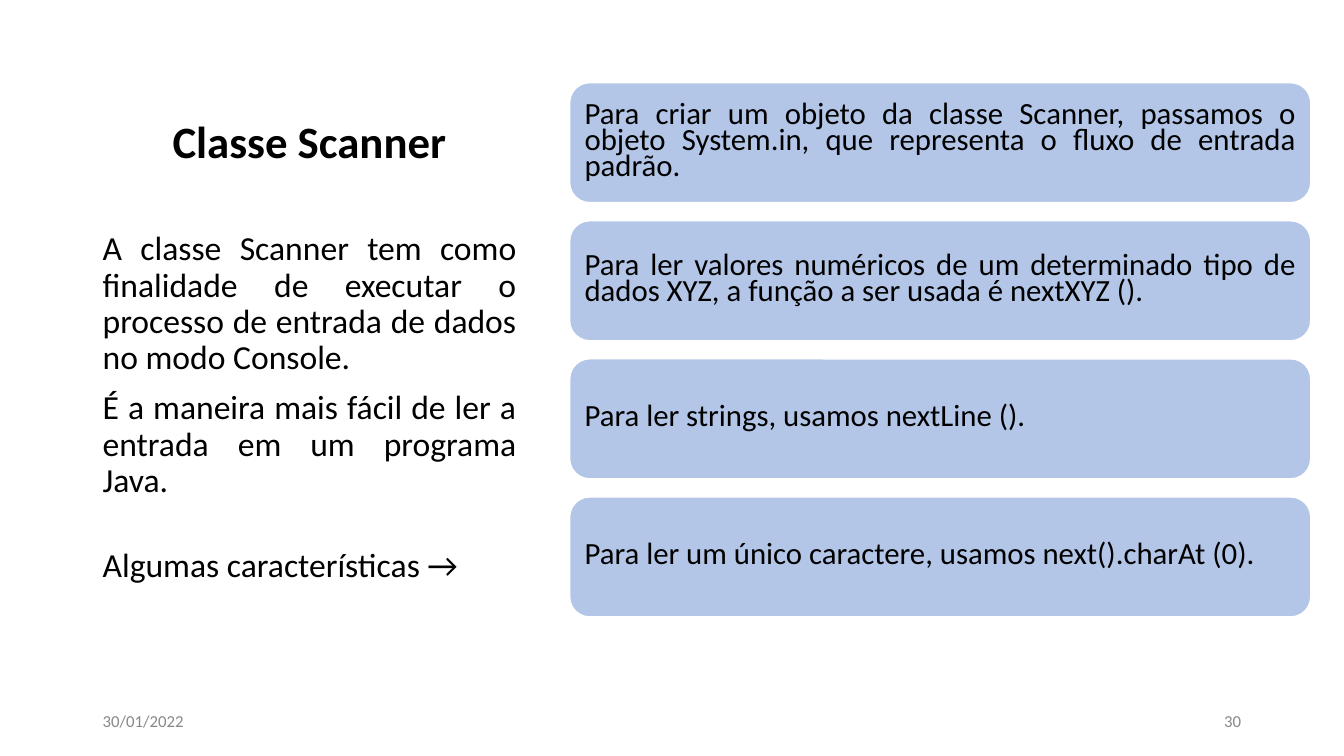
"""Builds the slide about the Scanner class, with its four usage cards."""
from pptx import Presentation
from pptx.dml.color import RGBColor
from pptx.enum.shapes import MSO_SHAPE as Shape
from pptx.enum.text import MSO_ANCHOR as Anchor, MSO_AUTO_SIZE as AutoSize, PP_ALIGN as Align
from pptx.util import Inches, Pt

TITLE = "Classe Scanner"
INTRO = [
    ("A classe Scanner tem como finalidade de executar o processo de entrada de dados no modo Console.", 0),
    ("É a maneira mais fácil de ler a entrada em um programa Java.", 10),
    ("Algumas características →", 35),
]
CARDS = [
    "Para criar um objeto da classe Scanner, passamos o objeto System.in, "
    "que representa o fluxo de entrada padrão.",
    "Para ler valores numéricos de um determinado tipo de dados XYZ, "
    "a função a ser usada é nextXYZ ().",
    "Para ler strings, usamos nextLine ().",
    "Para ler um único caractere, usamos next().charAt (0).",
]
DATE, PAGE = "30/01/2022", "30"

BLACK = RGBColor(0x00, 0x00, 0x00)
GRAY = RGBColor(0x88, 0x88, 0x88)
WHITE = RGBColor(0xFF, 0xFF, 0xFF)
PALE_BLUE = RGBColor(0xB3, 0xC6, 0xE7)

WIDTH, HEIGHT = 13.33, 7.5
MARGIN, INTRO_WIDTH = 0.92, 4.3
CARD_LEFT, CARD_TOP, CARD_WIDTH, CARD_HEIGHT, CARD_GAP = 5.65, 0.82, 7.35, 1.19, 0.18
FOOTER_TOP, FOOTER_WIDTH, FOOTER_HEIGHT = 6.95, 3, 0.4

TITLE_FORMAT = {"size": Pt(32), "bold": True}
INTRO_FORMAT = {"size": Pt(24)}
CARD_FORMAT = {"size": Pt(22)}
FOOTER_FORMAT = {"size": Pt(12)}


def write(holder, lines, font_format, color=BLACK, align=Align.JUSTIFY,
          spacing=0.9, anchor=Anchor.MIDDLE, inset=(0.1, 0.05)):
    """Fill a holder with (text, space before) lines in one format."""
    frame = holder.text_frame
    across, down = map(Inches, inset)
    frame_format = {
        "word_wrap": True, "auto_size": AutoSize.NONE, "vertical_anchor": anchor,
        "margin_left": across, "margin_right": across,
        "margin_top": down, "margin_bottom": down,
    }
    for name, value in frame_format.items():
        setattr(frame, name, value)
    for index, (line, before) in enumerate(lines):
        paragraph = frame.add_paragraph() if index else frame.paragraphs[0]
        paragraph.alignment = align
        paragraph.line_spacing = spacing
        paragraph.space_before = Pt(before)
        run = paragraph.add_run()
        run.text = line
        run.font.color.rgb = color
        for name, value in {"name": "Calibri", **font_format}.items():
            setattr(run.font, name, value)


def main():
    """Lay out the title, introduction, cards and footer."""
    deck = Presentation()
    deck.slide_width, deck.slide_height = Inches(WIDTH), Inches(HEIGHT)
    slide = deck.slides.add_slide(deck.slide_layouts[5])

    title = slide.shapes.title
    title_box = {"left": MARGIN, "top": 0.5, "width": INTRO_WIDTH, "height": 1.22}
    for name, value in title_box.items():
        setattr(title, name, Inches(value))
    write(title, [(TITLE, 0)], TITLE_FORMAT, align=Align.CENTER, anchor=Anchor.BOTTOM)

    intro = slide.shapes.add_textbox(*map(Inches, (MARGIN, 2.25, INTRO_WIDTH, 4.17)))
    write(intro, INTRO, INTRO_FORMAT, anchor=Anchor.TOP)

    for row, usage in enumerate(CARDS):
        top = CARD_TOP + row * (CARD_HEIGHT + CARD_GAP)
        card = slide.shapes.add_shape(
            Shape.ROUNDED_RECTANGLE, *map(Inches, (CARD_LEFT, top, CARD_WIDTH, CARD_HEIGHT)))
        card.shadow.inherit = False
        card.fill.solid()
        card.fill.fore_color.rgb = PALE_BLUE
        card.line.color.rgb = WHITE
        card.line.width = Pt(1)
        write(card, [(usage, 0)], CARD_FORMAT, spacing=0.7, inset=(0.09, 0.09))

    page_left = WIDTH - MARGIN - FOOTER_WIDTH
    for label, left, align in ((DATE, MARGIN, Align.LEFT), (PAGE, page_left, Align.RIGHT)):
        footer = slide.shapes.add_textbox(
            *map(Inches, (left, FOOTER_TOP, FOOTER_WIDTH, FOOTER_HEIGHT)))
        write(footer, [(label, 0)], FOOTER_FORMAT, color=GRAY, align=align, spacing=1.0)

    deck.save("out.pptx")


if __name__ == "__main__":
    main()
